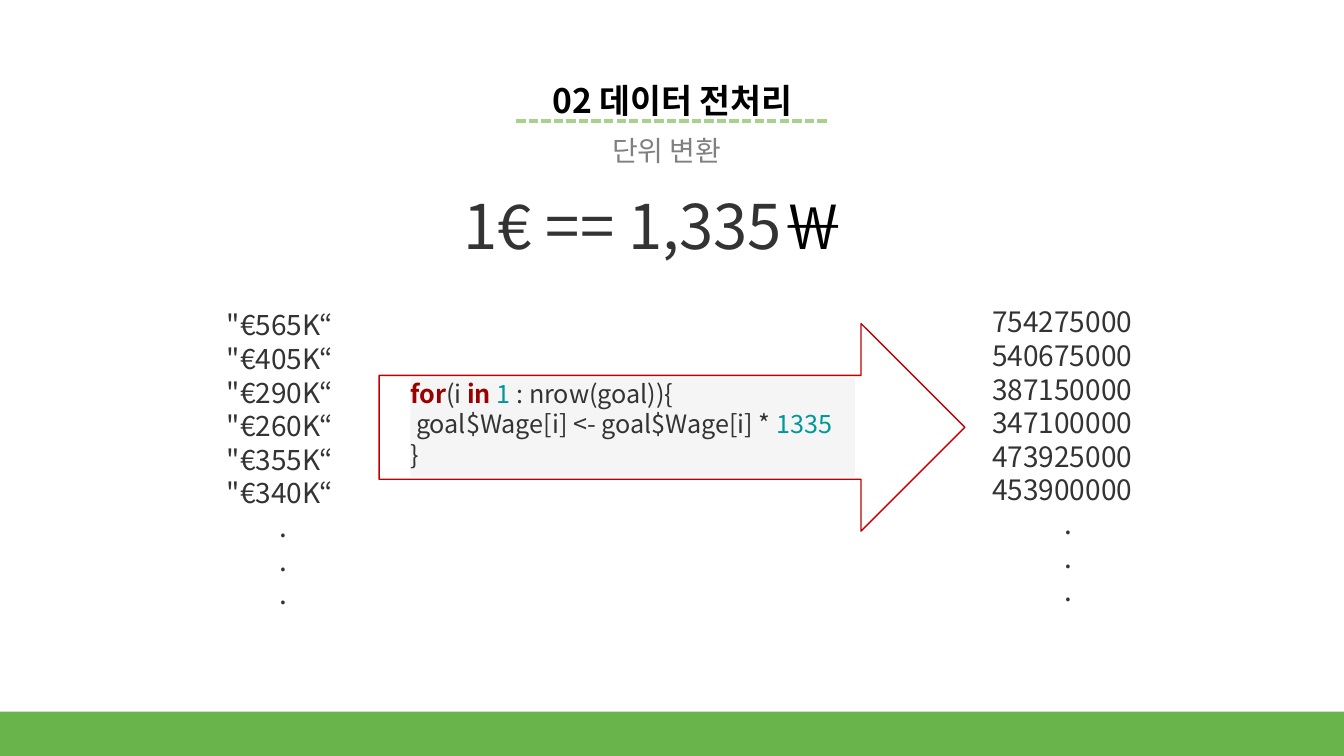
from dataclasses import dataclass

from lxml import etree
from pptx import Presentation
from pptx.dml.color import RGBColor
from pptx.enum.dml import MSO_LINE
from pptx.enum.shapes import MSO_CONNECTOR, MSO_SHAPE
from pptx.enum.text import MSO_ANCHOR, PP_ALIGN
from pptx.oxml.ns import qn
from pptx.util import Inches, Pt

RECT, ARROW = MSO_SHAPE.RECTANGLE, MSO_SHAPE.RIGHT_ARROW
STRAIGHT, DASH = MSO_CONNECTOR.STRAIGHT, MSO_LINE.SQUARE_DOT
TOP, MIDDLE = MSO_ANCHOR.TOP, MSO_ANCHOR.MIDDLE
LEFT, CENTER = PP_ALIGN.LEFT, PP_ALIGN.CENTER

FONT = "Noto Sans CJK KR"
COLORS = {
    "white": "FFFFFF", "black": "000000", "gray": "808080", "text": "333333",
    "green": "69B54B", "light_green": "A9D18E", "red": "C00000",
    "code_bg": "F5F5F5", "keyword": "990000", "number": "009999",
}


@dataclass
class Run:
    text: str
    color: str = "text"
    bold: bool = False


@dataclass
class Line:
    runs: list[Run]
    align: PP_ALIGN = LEFT


@dataclass
class Block:
    box: tuple[float, float, float, float]
    size: int
    lines: list[Line]
    fill: str | None = "white"
    anchor: MSO_ANCHOR = MIDDLE
    margins: tuple[float, float, float, float] = (0, 0, 0, 0.07)
    wrap: bool = True


def rgb(name: str) -> RGBColor:
    return RGBColor.from_string(COLORS[name])


def add_shape(slide, kind: MSO_SHAPE, box: tuple, fill: str | None = None,
              line: str | None = None):
    sp = slide.shapes.add_shape(kind, *map(Inches, box))
    sp.shadow.inherit = False
    if fill:
        sp.fill.solid()
        sp.fill.fore_color.rgb = rgb(fill)
    else:
        sp.fill.background()
    if line:
        sp.line.color.rgb = rgb(line)
        sp.line.width = Pt(1)
    else:
        sp.line.fill.background()
    return sp


def add_block(slide, block: Block) -> None:
    if block.fill:
        sp = add_shape(slide, RECT, block.box, block.fill)
    else:
        sp = slide.shapes.add_textbox(*map(Inches, block.box))
    tf = sp.text_frame
    tf.word_wrap = block.wrap
    tf.vertical_anchor = block.anchor
    (tf.margin_left, tf.margin_top,
     tf.margin_right, tf.margin_bottom) = map(Inches, block.margins)
    for i, line in enumerate(block.lines):
        p = tf.add_paragraph() if i else tf.paragraphs[0]
        p.alignment = line.align
        p.font.size = Pt(block.size)
        p.font.name = FONT
        for run in line.runs:
            r = p.add_run()
            r.text = run.text
            r.font.size = Pt(block.size)
            r.font.name = FONT
            r.font.bold = run.bold
            r.font.color.rgb = rgb(run.color)
            # Hangul and full-width signs take the East Asian font
            ea = etree.SubElement(r.font._element, qn("a:ea"))
            ea.set("typeface", FONT)


def add_rule(slide, x1: float, x2: float, y: float) -> None:
    c = slide.shapes.add_connector(
        STRAIGHT, Inches(x1), Inches(y), Inches(x2), Inches(y))
    c.line.color.rgb = rgb("light_green")
    c.line.width = Pt(2.25)
    c.line.dash_style = DASH
    etree.SubElement(c._element.spPr, qn("a:effectLst"))


def column(box: tuple, values: list[str]) -> Block:
    lines = [Line([Run(v)]) for v in values]
    lines += [Line([Run(".")], CENTER) for _ in range(3)]
    return Block(box, 20, lines, wrap=False)


def heading(box: tuple, size: int, run: Run) -> Block:
    return Block(box, size, [Line([run], CENTER)], None, TOP,
                 (0.1, 0.05, 0.1, 0.05))


EUROS = [f'"€{n}K“' for n in (565, 405, 290, 260, 355, 340)]
WONS = ["754275000", "540675000", "387150000",
        "347100000", "473925000", "453900000"]
CODE = [
    Line([Run("for", "keyword", True), Run("(i "), Run("in ", "keyword", True),
          Run("1", "number"), Run(" : nrow(goal)){")]),
    Line([Run(" goal$Wage[i] <- goal$Wage[i] * "), Run("1335", "number")]),
    Line([Run("}")]),
]
BLOCKS = [
    heading((4.32, 0.74, 4.7, 0.5), 24, Run("02 데이터 전처리", "black", True)),
    heading((4.5, 1.28, 4.23, 0.44), 20, Run("단위 변환", "gray")),
    Block((4.6, 1.86, 4.13, 0.81), 44,
          [Line([Run("1€ == 1,335"), Run("￦", "black")])]),
    column((2.25, 3.04, 1.13, 3.1), EUROS),
    column((9.84, 3.01, 1.51, 3.1), WONS),
    Block((4.07, 3.75, 4.41, 0.98), 18, CODE, "code_bg", wrap=False),
]


def main() -> None:
    prs = Presentation()
    prs.slide_width, prs.slide_height = Inches(13.33), Inches(7.5)
    slide = prs.slides.add_slide(prs.slide_layouts[6])

    # Footer band and title rule
    add_shape(slide, RECT, (0, 7.06, 13.33, 0.44), "green")
    add_rule(slide, 5.12, 8.22, 1.2)

    # Headings, exchange rate, value columns and code
    for block in BLOCKS:
        add_block(slide, block)

    # Conversion arrow around the code
    add_shape(slide, ARROW, (3.76, 3.21, 5.81, 2.06), line="red")

    prs.save("out.pptx")


if __name__ == "__main__":
    main()
